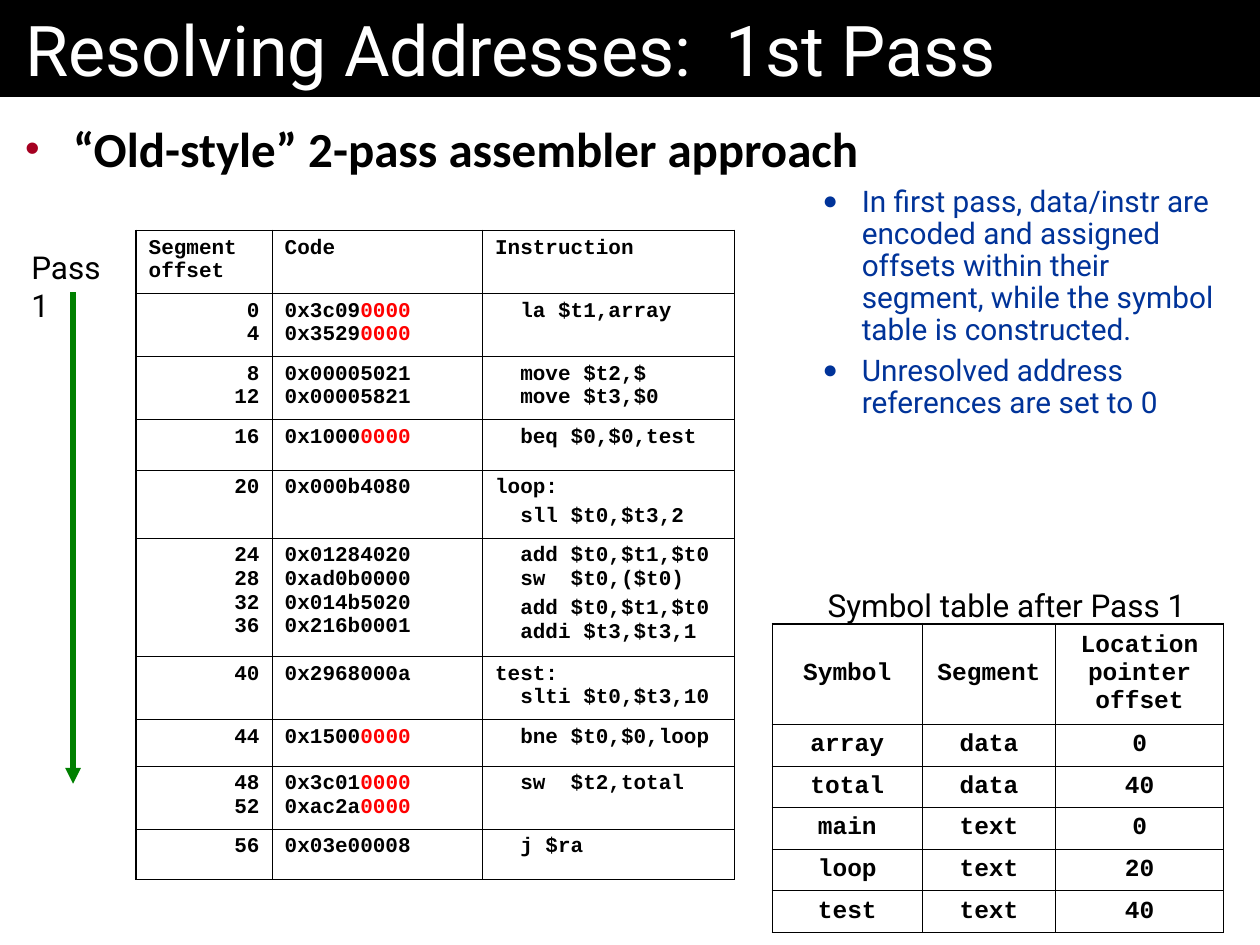
from lxml import etree
from pptx import Presentation
from pptx.dml.color import RGBColor
from pptx.enum.shapes import MSO_CONNECTOR
from pptx.enum.text import MSO_ANCHOR, MSO_AUTO_SIZE, PP_ALIGN
from pptx.oxml.ns import qn
from pptx.util import Inches, Pt

LEFT, CENTER, RIGHT = PP_ALIGN.LEFT, PP_ALIGN.CENTER, PP_ALIGN.RIGHT
TOP, MIDDLE = MSO_ANCHOR.TOP, MSO_ANCHOR.MIDDLE
STRAIGHT = MSO_CONNECTOR.STRAIGHT
NO_AUTOFIT = MSO_AUTO_SIZE.NONE

BLACK, WHITE, RED = "000000", "FFFFFF", "FF0000"
NAVY, GREEN, CRIMSON = "003399", "008000", "A50021"
SANS, HEADING, MONO = "Roboto", "Calibri", "Courier New"
OUTER, INNER = 1.08, 0.45  # table rules in points

# A bar starts the unresolved part of a code word
ASSEMBLY = [
    ("Segment offset", "Code", "Instruction"),
    ("0\n4", "0x3c09|0000\n0x3529|0000", "  la $t1,array"),
    ("8\n12", "0x00005021\n0x00005821", "  move $t2,$\n  move $t3,$0"),
    ("16", "0x1000|0000", "  beq $0,$0,test"),
    ("20", "0x000b4080", ["loop:", "  sll $t0,$t3,2"]),
    ("24\n28\n32\n36", "0x01284020\n0xad0b0000\n0x014b5020\n0x216b0001",
     ["  add $t0,$t1,$t0\n  sw  $t0,($t0)",
      "  add $t0,$t1,$t0\n  addi $t3,$t3,1"]),
    ("40", "0x2968000a", "test:\n  slti $t0,$t3,10"),
    ("44", "0x1500|0000", "  bne $t0,$0,loop"),
    ("48\n52", "0x3c01|0000\n0xac2a|0000", "  sw  $t2,total"),
    ("56", "0x03e00008", "  j $ra"),
]
SYMBOLS = [
    ("Symbol", "Segment", "Location pointer offset"),
    ("array", "data", "0"),
    ("total", "data", "40"),
    ("main", "text", "0"),
    ("loop", "text", "20"),
    ("test", "text", "40"),
]


def color(value):
    return RGBColor.from_string(value)


def add_bullet(paragraph, char, tint, indent, hanging):
    props = paragraph._p.get_or_add_pPr()
    props.set("marL", str(Inches(indent)))
    props.set("indent", str(-Inches(hanging)))
    tint_box = etree.SubElement(props, qn("a:buClr"))
    etree.SubElement(tint_box, qn("a:srgbClr"), val=tint)
    etree.SubElement(props, qn("a:buSzPct"), val="85000")
    etree.SubElement(props, qn("a:buFont"), typeface="Arial")
    etree.SubElement(props, qn("a:buChar"), char=char)


def write(frame, content, size, font=SANS, tint=BLACK, bold=False, align=LEFT,
          gap=0, spacing=None, bullet=None, level=0):
    """Fill a text frame; a list gives paragraphs, a newline a line break."""
    paragraphs = [content] if isinstance(content, str) else content
    for number, words in enumerate(paragraphs):
        paragraph = frame.add_paragraph() if number else frame.paragraphs[0]
        paragraph.level = level
        if bullet:
            add_bullet(paragraph, *bullet)
        paragraph.alignment = align
        paragraph.space_before = Pt(gap if number else 0)
        if spacing:
            paragraph.line_spacing = spacing
        for line_number, line in enumerate(words.split("\n")):
            if line_number:
                paragraph.add_line_break()
            resolved, _, unresolved = line.partition("|")
            for part, part_tint in ((resolved, tint), (unresolved, RED)):
                if part:
                    run = paragraph.add_run()
                    run.text = part
                    run.font.name = font
                    run.font.size = Pt(size)
                    run.font.bold = bold
                    run.font.color.rgb = color(part_tint)


def set_borders(cell, widths):
    props = cell._tc.get_or_add_tcPr()
    for side, width in zip("LRTB", widths):
        rule = etree.SubElement(props, qn(f"a:ln{side}"), w=str(Pt(width)))
        fill = etree.SubElement(rule, qn("a:solidFill"))
        etree.SubElement(fill, qn("a:srgbClr"), val=BLACK)


class AssemblerSlide:
    def __init__(self, deck):
        self.slide = deck.slides.add_slide(deck.slide_layouts[5])

    def title(self, words, height):
        bar = self.slide.shapes.title
        bar.left, bar.top = Inches(0), Inches(0)
        bar.width, bar.height = Inches(10), Inches(height)
        bar.fill.solid()
        bar.fill.fore_color.rgb = color(BLACK)
        self.set_frame(bar.text_frame, 0.2, 0.05, MIDDLE)
        write(bar.text_frame, words, 40, tint=WHITE)

    def set_frame(self, frame, side, edge, anchor=TOP):
        frame.word_wrap = True
        frame.auto_size = NO_AUTOFIT
        frame.vertical_anchor = anchor
        frame.margin_left = frame.margin_right = Inches(side)
        frame.margin_top = frame.margin_bottom = Inches(edge)

    def text(self, box, content, size, margins=(0.1, 0.05), **style):
        frame = self.slide.shapes.add_textbox(*map(Inches, box)).text_frame
        self.set_frame(frame, *margins)
        write(frame, content, size, **style)

    def table(self, left, top, widths, heights, rows, size, aligns, gap=0,
              anchor=TOP):
        table = self.slide.shapes.add_table(
            len(rows), len(widths), Inches(left), Inches(top),
            Inches(sum(widths)), Inches(sum(heights))).table
        table.first_row = table.horz_banding = False
        for column, width in zip(table.columns, widths):
            column.width = Inches(width)
        last_row, last_column = len(rows) - 1, len(widths) - 1
        for r, row in enumerate(rows):
            table.rows[r].height = Inches(heights[r])
            for c, content in enumerate(row):
                cell = table.cell(r, c)
                on_edge = (c == 0, c == last_column, r == 0, r == last_row)
                set_borders(cell, [OUTER if edge else INNER for edge in on_edge])
                cell.fill.background()
                cell.vertical_anchor = anchor
                align = aligns[c]
                if r == 0 and align == RIGHT:
                    align = LEFT
                write(cell.text_frame, content, size, font=MONO, bold=True,
                      align=align, gap=gap)

    def arrow(self, start, end, tint, width):
        line = self.slide.shapes.add_connector(
            STRAIGHT, *map(Inches, start + end))
        line.line.color.rgb = color(tint)
        line.line.width = Pt(width)
        etree.SubElement(line.line._get_or_add_ln(), qn("a:tailEnd"),
                         type="triangle")
        etree.SubElement(line._element.spPr, qn("a:effectLst"))


def main():
    deck = Presentation()
    deck.slide_width, deck.slide_height = Inches(10), Inches(7.5)
    slide = AssemblerSlide(deck)

    # Heading
    slide.title("Resolving Addresses:  1st Pass", 0.77)
    slide.text((0, 0.79, 10, 6.71), ["“Old-style” 2-pass assembler approach"],
               28, margins=(0.2, 0.15), font=HEADING, bold=True,
               bullet=("•", CRIMSON, 0.38, 0.38))

    # Assembled code and the symbols found in it
    slide.table(1.08, 1.83, [1.08, 1.67, 2],
                [0.5, 0.5, 0.5, 0.4, 0.54, 0.94, 0.5, 0.37, 0.5, 0.4],
                ASSEMBLY, 12, (RIGHT, LEFT, LEFT), gap=3)
    slide.table(6.13, 4.95, [1.19, 1.06, 1.33], [0.8] + [0.33] * 5,
                SYMBOLS, 14, (CENTER,) * 3, anchor=MIDDLE)

    # Direction of the pass and captions
    slide.arrow((0.58, 2.32), (0.58, 6.22), GREEN, 3)
    slide.text((0.15, 1.92, 0.9, 0.4), "Pass 1", 18)
    slide.text((6.47, 4.6, 3.15, 0.4), "Symbol table after Pass 1", 18)

    # Explanation
    slide.text((5.83, 1.33, 4.17, 2.79), [
        "In first pass, data/instr are encoded and assigned offsets within "
        "their segment, while the symbol table is constructed.",
        "Unresolved address references are set to 0",
    ], 17, margins=(0.2, 0.15), tint=NAVY, gap=5, spacing=0.9, level=1,
        bullet=("●", NAVY, 0.81, 0.31))

    deck.save("out.pptx")


if __name__ == "__main__":
    main()
